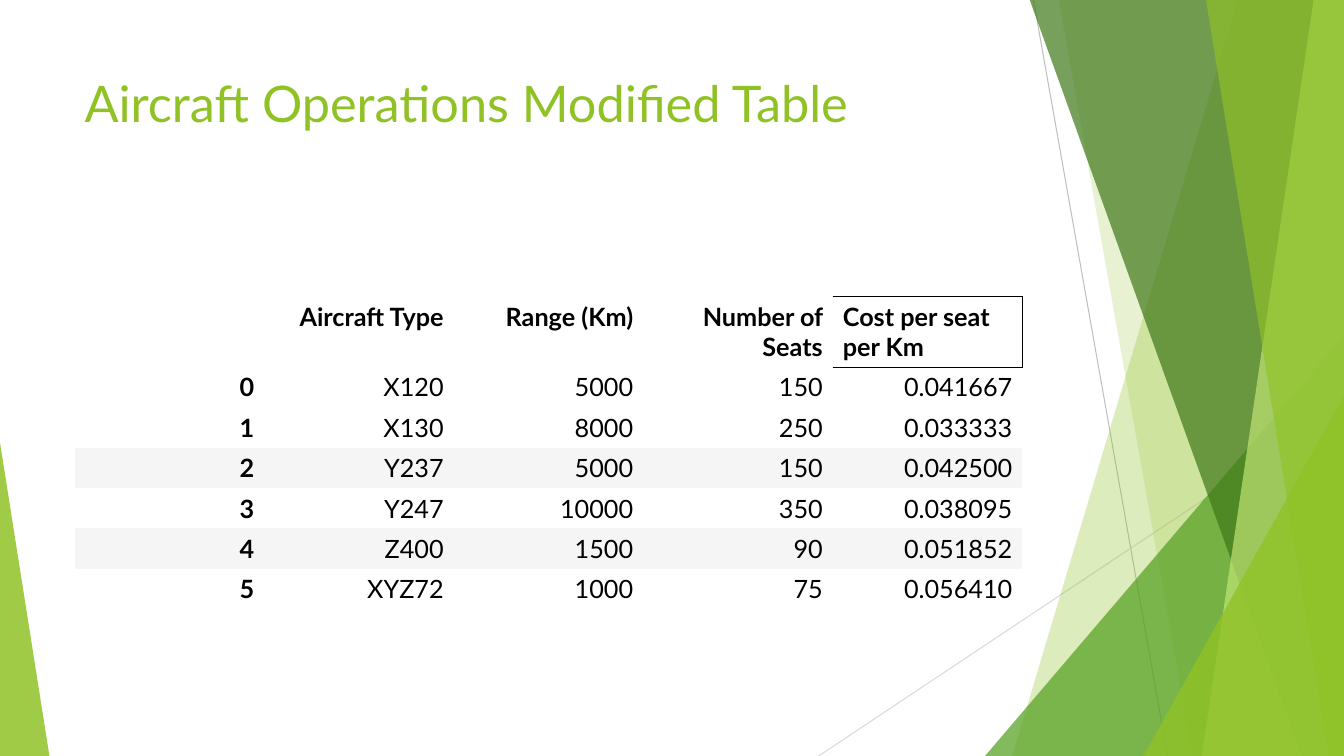
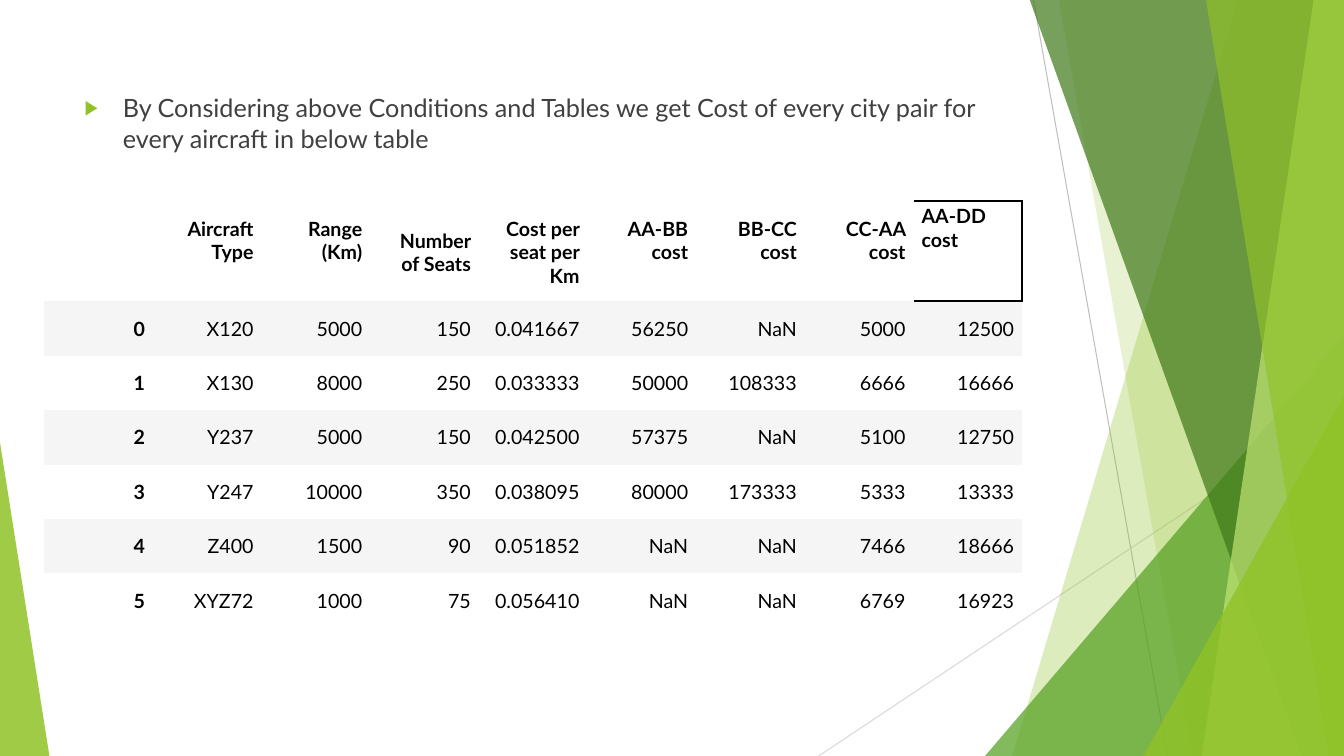
"""Two slides of aircraft operating costs on a green faceted theme."""
from lxml import etree
from pptx import Presentation
from pptx.dml.color import RGBColor
from pptx.enum.shapes import MSO_CONNECTOR, MSO_SHAPE
from pptx.enum.text import MSO_ANCHOR, PP_ALIGN
from pptx.oxml.ns import qn
from pptx.util import Inches, Pt

LINE, TRIANGLE = MSO_CONNECTOR.STRAIGHT, MSO_SHAPE.ISOSCELES_TRIANGLE
TOP, MIDDLE = MSO_ANCHOR.TOP, MSO_ANCHOR.MIDDLE
LEFT, RIGHT = PP_ALIGN.LEFT, PP_ALIGN.RIGHT

LIME = RGBColor(0x90, 0xC2, 0x26)
LEAF = RGBColor(0x54, 0xA0, 0x21)
PINE = RGBColor(0x3F, 0x78, 0x19)
PALE = RGBColor(0xC0, 0xE4, 0x74)
SILVER = RGBColor(0xBF, 0xBF, 0xBF)
MIST = RGBColor(0xD9, 0xD9, 0xD9)
STRIPE = RGBColor(0xF5, 0xF5, 0xF5)
BLACK = RGBColor(0, 0, 0)
GREY = RGBColor(0x40, 0x40, 0x40)
FONT = "Lato"
PLAIN = "{2D5ABB26-0587-4C30-8999-92F81FD0307C}"
WIDE, HIGH = 13.33, 7.5

TITLE = "Aircraft Operations Modified Table"
NOTE = ("By Considering above Conditions and Tables we get Cost of every "
        "city pair for every aircraft in below table")
HEAD = ["", "Aircraft Type", "Range (Km)", "Number of Seats",
        "Cost per seat per Km"]
FLEET = [
    ["0", "X120", "5000", "150", "0.041667"],
    ["1", "X130", "8000", "250", "0.033333"],
    ["2", "Y237", "5000", "150", "0.042500"],
    ["3", "Y247", "10000", "350", "0.038095"],
    ["4", "Z400", "1500", "90", "0.051852"],
    ["5", "XYZ72", "1000", "75", "0.056410"],
]
PAIRS = ["AA-BB cost", "BB-CC cost", "CC-AA cost", "AA-DD cost"]
COSTS = [
    ["56250", "NaN", "5000", "12500"],
    ["50000", "108333", "6666", "16666"],
    ["57375", "NaN", "5100", "12750"],
    ["80000", "173333", "5333", "13333"],
    ["NaN", "NaN", "7466", "18666"],
    ["NaN", "NaN", "6769", "16923"],
]

RULES = [((10.25, 0), (11.58, HIGH), SILVER), ((WIDE, 4.03), (8.12, HIGH), MIST)]
FACETS = [
    ("band", (12.28, 10.04), LIME, 30),
    ("band", (10.5, 11.83), LIME, 20),
    ("wedge", (9.77, 3.33, 3.56, 1), LEAF, 72),
    ("band", (10.21, 12.91), PINE, 70),
    ("band", (13.03, 11.92), PALE, 70),
    ("band", (11.96, 13.18), LIME, 65),
    ("wedge", (11.34, 3.93, 1.99, 1), LIME, 80),
    ("wedge", (0, 4.39, 0.49, 0), LIME, 85),
]


def band(shapes, top, base):
    pen = shapes.build_freeform(Inches(top), Inches(-0.01))
    edge = [(WIDE, -0.01), (WIDE, HIGH), (base, HIGH)]
    pen.add_line_segments([(Inches(x), Inches(y)) for x, y in edge])
    return pen.convert_to_shape()


def wedge(shapes, left, top, width, peak):
    shape = shapes.add_shape(TRIANGLE, Inches(left), Inches(top),
                             Inches(width), Inches(HIGH - top))
    shape.adjustments[0] = peak
    return shape


def facet(shapes, kind, size, color, alpha):
    shape = {"band": band, "wedge": wedge}[kind](shapes, *size)
    shape.shadow.inherit = False
    shape.line.fill.background()
    shape.fill.solid()
    shape.fill.fore_color.rgb = color
    tone = shape.element.spPr.find(".//" + qn("a:srgbClr"))
    etree.SubElement(tone, qn("a:alpha"), val=str(alpha * 1000))


def rule(shapes, start, end, color):
    line = shapes.add_connector(LINE, *map(Inches, start + end))
    line.line.color.rgb = color
    line.line.width = Pt(0.75)
    etree.SubElement(line.element.spPr, qn("a:effectLst"))


def new_slide(deck):
    slide = deck.slides.add_slide(deck.slide_layouts[6])
    for item in RULES:
        rule(slide.shapes, *item)
    for item in FACETS:
        facet(slide.shapes, *item)
    return slide


def write(para, text, size, color, bold=False):
    run = para.add_run()
    run.text = text
    run.font.name = FONT
    run.font.size = Pt(size)
    run.font.bold = bold
    run.font.color.rgb = color


def text_box(slide, top, height, text, size, color):
    box = slide.shapes.add_textbox(Inches(0.74), Inches(top),
                                   Inches(9.4), Inches(height))
    box.text_frame.word_wrap = True
    para = box.text_frame.paragraphs[0]
    write(para, text, size, color)
    return para


def bullet(para):
    para.space_before = Pt(10)
    props = para._p.get_or_add_pPr()
    props.set("marL", str(Inches(0.38)))
    props.set("indent", str(Inches(-0.38)))
    tint = etree.SubElement(props, qn("a:buClr"))
    etree.SubElement(tint, qn("a:srgbClr"), val=str(LIME))
    etree.SubElement(props, qn("a:buSzPct"), val="80000")
    etree.SubElement(props, qn("a:buFont"), typeface="Arial")
    etree.SubElement(props, qn("a:buChar"), char="\u25b6")


def border(cell, weight):
    props = cell._tc.get_or_add_tcPr()
    for spot, side in enumerate(("a:lnR", "a:lnT", "a:lnB")):
        line = etree.Element(qn(side), w=str(Pt(weight)))
        fill = etree.SubElement(line, qn("a:solidFill"))
        etree.SubElement(fill, qn("a:srgbClr"), val=str(BLACK))
        props.insert(spot, line)


def grid(slide, rows, place, heights, size, pads, tops, bands, weight):
    """Draw a table with striped rows and a boxed last heading."""
    left, top, width = place
    count = len(rows[0])
    frame = slide.shapes.add_table(len(rows), count, Inches(left), Inches(top),
                                   Inches(width), Inches(sum(heights)))
    frame.element.find(".//" + qn("a:tableStyleId")).text = PLAIN
    table = frame.table
    table.first_row = table.horz_banding = False
    for column in table.columns:
        column.width = Inches(width / count)
    for r, row in enumerate(rows):
        table.rows[r].height = Inches(heights[r])
        for c, text in enumerate(row):
            cell = table.cell(r, c)
            cell.margin_left = cell.margin_right = Inches(pads[0])
            cell.margin_top = cell.margin_bottom = Inches(pads[1])
            cell.vertical_anchor = MIDDLE if r else TOP
            if r in bands:
                cell.fill.solid()
                cell.fill.fore_color.rgb = STRIPE
            else:
                cell.fill.background()
            if r == 0:
                cell.margin_top = Inches(tops[c])
            para = cell.text_frame.paragraphs[0]
            boxed = r == 0 and c == count - 1
            para.alignment = LEFT if boxed else RIGHT
            if text:
                write(para, text, size, BLACK, r == 0 or c == 0)
    border(table.cell(0, count - 1), weight)


deck = Presentation()
deck.slide_width, deck.slide_height = Inches(WIDE), Inches(HIGH)

slide = new_slide(deck)
text_box(slide, 0.67, 1.44, TITLE, 36, LIME)
grid(slide, [HEAD] + FLEET, (0.74, 2.94, 9.4), [0.7] + [0.4] * 6, 18,
     (0.1, 0.05), [0.05] * 5, (3, 5), 0.75)

slide = new_slide(deck)
bullet(text_box(slide, 0.87, 5.73, NOTE, 18, GREY))
full = [a + b for a, b in zip([HEAD] + FLEET, [PAIRS] + COSTS)]
drops = [0.16] * 3 + [0.28] + [0.16] * 4 + [0.04]
grid(slide, full, (0.44, 1.99, 9.7), [1] + [0.54] * 6, 14,
     (0.08, 0.04), drops, (1, 3, 5), 1.5)

deck.save("out.pptx")
